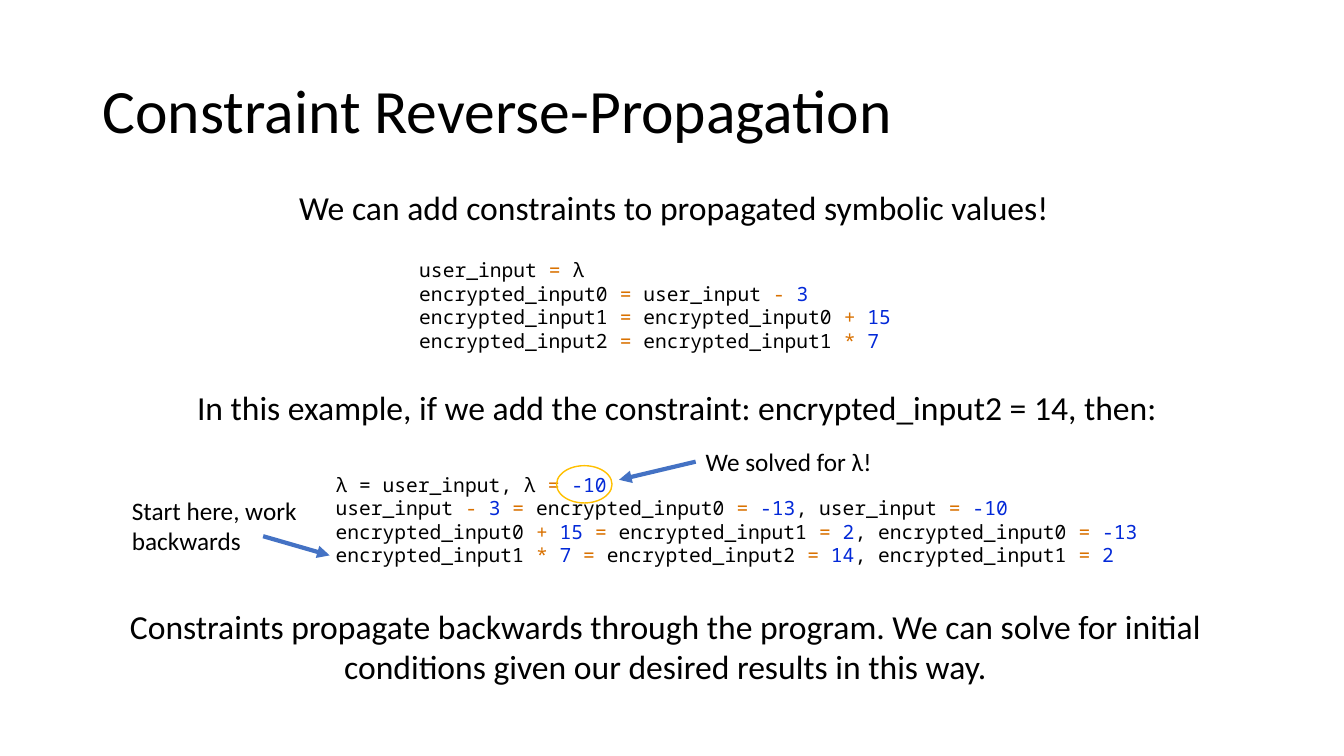
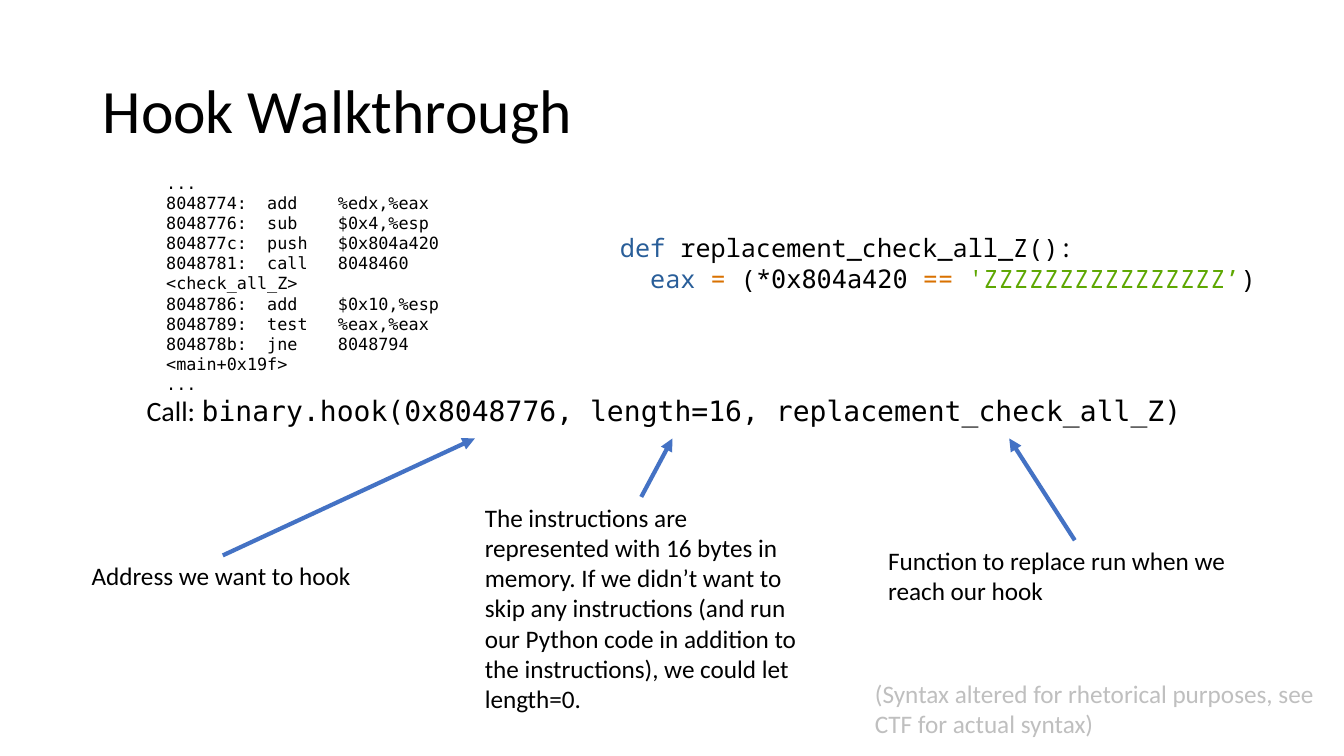
from lxml import etree
from pptx import Presentation
from pptx.dml.color import RGBColor
from pptx.enum.shapes import MSO_CONNECTOR as Connector, MSO_SHAPE as Shape
from pptx.enum.text import MSO_ANCHOR as Anchor, PP_ALIGN as Align
from pptx.oxml.ns import qn
from pptx.util import Inches, Pt

COLORS = {
    "text": "000000",
    "operator": "D97100",
    "number": "0329D8",
    "keyword": "295E99",
    "string": "5EA702",
    "note": "BFBFBF",
    "arrow": "4472C4",
    "ring": "FFC000",
}
BODY, CODE, MONO = "Calibri", "Noto Sans Mono", "DejaVu Sans Mono"


def color(name):
    return RGBColor.from_string(COLORS[name])


def add_run(paragraph, text, size, font, color_name):
    run = paragraph.add_run()
    run.text = text
    run.font.size = Pt(size)
    run.font.name = font
    run.font.color.rgb = color(color_name)


def add_lines(slide, box, lines, size, font=BODY, align=Align.LEFT):
    shape = slide.shapes.add_textbox(*map(Inches, box))
    frame = shape.text_frame
    frame.word_wrap = True
    for index, runs in enumerate(lines):
        paragraph = frame.paragraphs[0] if index == 0 else frame.add_paragraph()
        paragraph.alignment = align
        for text, color_name, *run_font in runs:
            add_run(paragraph, text, size, run_font[0] if run_font else font, color_name)
    return frame


def add_title(slide, text):
    frame = add_lines(slide, (0.92, 0.4, 11.5, 1.45), [[(text, "text")]], 44)
    frame.vertical_anchor = Anchor.MIDDLE
    frame.paragraphs[0].line_spacing = 0.9


def add_statement(slide, box, text):
    add_lines(slide, box, [[(text, "text")]], 24, align=Align.CENTER)


def add_label(slide, box, text, color_name="text"):
    add_lines(slide, box, [[(text, color_name)]], 18)


def add_arrow(slide, start, end):
    arrow = slide.shapes.add_connector(
        Connector.STRAIGHT, *map(Inches, start), *map(Inches, end))
    arrow.line.color.rgb = color("arrow")
    arrow.line.width = Pt(3)
    etree.SubElement(arrow.line._get_or_add_ln(), qn("a:tailEnd"), type="triangle")
    etree.SubElement(arrow._element.spPr, qn("a:effectLst"))


def add_ring(slide, box):
    ring = slide.shapes.add_shape(Shape.OVAL, *map(Inches, box))
    ring.shadow.inherit = False
    ring.fill.background()
    ring.line.color.rgb = color("ring")
    ring.line.width = Pt(1)


def highlight(code):
    runs = []
    words = code.split(" ")
    for index, word in enumerate(words):
        gap = " " if index < len(words) - 1 else ""
        value = word.rstrip(",")
        if word in ("=", "+", "-", "*"):
            runs.append((word + gap, "operator"))
        elif value.lstrip("-").isdigit():
            runs.append((value, "number"))
            if word[len(value):] + gap:
                runs.append((word[len(value):] + gap, "text"))
        else:
            runs.append((word + gap, "text"))
    return runs


def build_propagation(slide):
    add_title(slide, "Constraint Reverse-Propagation")
    add_statement(slide, (0.92, 1.81, 11.6, 0.5),
                  "We can add constraints to propagated symbolic values! ")
    program = [
        "user_input = λ",
        "encrypted_input0 = user_input - 3",
        "encrypted_input1 = encrypted_input0 + 15",
        "encrypted_input2 = encrypted_input1 * 7",
    ]
    add_lines(slide, (4.06, 2.51, 5.34, 1.28), map(highlight, program), 14, CODE)
    add_statement(slide, (1.73, 3.79, 9.97, 0.5),
                  "In this example, if we add the constraint: encrypted_input2 = 14, then:")
    solved = [("λ = user_input, λ ", "text")] + highlight("= -10")
    steps = [
        "user_input - 3 = encrypted_input0 = -13, user_input = -10",
        "encrypted_input0 + 15 = encrypted_input1 = 2, encrypted_input0 = -13",
        "encrypted_input1 * 7 = encrypted_input2 = 14, encrypted_input1 = 2",
    ]
    add_lines(slide, (3.23, 4.64, 8.97, 1.04), [solved, *map(highlight, steps)], 14, CODE)
    add_statement(slide, (0.92, 5.96, 11.36, 0.91),
                  "Constraints propagate backwards through the program. "
                  "We can solve for initial conditions given our desired results in this way.")
    add_ring(slide, (5.52, 4.62, 0.55, 0.37))
    add_arrow(slide, (6.9, 4.58), (6.14, 4.76))
    add_label(slide, (6.9, 4.38, 2.37, 0.4), "We solved for λ!")
    add_arrow(slide, (2.61, 5.32), (3.27, 5.51))
    add_label(slide, (1.21, 4.86, 1.96, 0.71), "Start here, work backwards")


def build_hook(slide):
    add_title(slide, "Hook Walkthrough")
    disassembly = [
        "...",
        "8048774:  add    %edx,%eax",
        "8048776:  sub    $0x4,%esp",
        "804877c:  push   $0x804a420",
        "8048781:  call   8048460 <check_all_Z>",
        "8048786:  add    $0x10,%esp",
        "8048789:  test   %eax,%eax",
        "804878b:  jne    8048794 <main+0x19f>",
        "...",
    ]
    add_lines(slide, (1.55, 1.66, 3.82, 1.92),
              [[(line, "text")] for line in disassembly], 12, MONO)
    replacement = [
        [("def ", "keyword"), ("replacement_check_all_Z():", "text")],
        [("  eax ", "keyword"), ("= ", "operator"), ("(*", "text"),
         ("0x804a420 ", "text", MONO), ("== ", "operator"),
         ("'ZZZZZZZZZZZZZZZZ’", "string"), (")", "text")],
    ]
    add_lines(slide, (6.05, 2.26, 6.55, 0.71), replacement, 18, CODE)
    call = [("Call: ", "text"),
            ("binary.hook(0x8048776, length=16, replacement_check_all_Z) ", "text", MONO)]
    add_lines(slide, (0.92, 3.85, 11.5, 0.44), [call], 20, align=Align.CENTER)

    explanations = [
        ((0.81, 5.51, 2.9, 0.4), (2.21, 5.51), 4.71, "Address we want to hook"),
        ((4.71, 4.93, 3.3, 2.22), (6.36, 4.93), 6.67,
         "The instructions are represented with 16 bytes in memory. "
         "If we didn’t want to skip any instructions (and run our Python code "
         "in addition to the instructions), we could let length=0."),
        ((8.71, 5.36, 3.89, 0.71), (10.66, 5.36), 10.01,
         "Function to replace run when we reach our hook"),
    ]
    for box, start, target, text in explanations:
        add_label(slide, box, text)
        add_arrow(slide, start, (target, 4.35))
    add_label(slide, (8.58, 6.68, 4.94, 0.71),
              "(Syntax altered for rhetorical purposes, see CTF for actual syntax)", "note")


def main():
    presentation = Presentation()
    presentation.slide_width = Inches(13.33)
    presentation.slide_height = Inches(7.5)
    for build in (build_propagation, build_hook):
        build(presentation.slides.add_slide(presentation.slide_layouts[6]))
    presentation.save("out.pptx")


if __name__ == "__main__":
    main()
